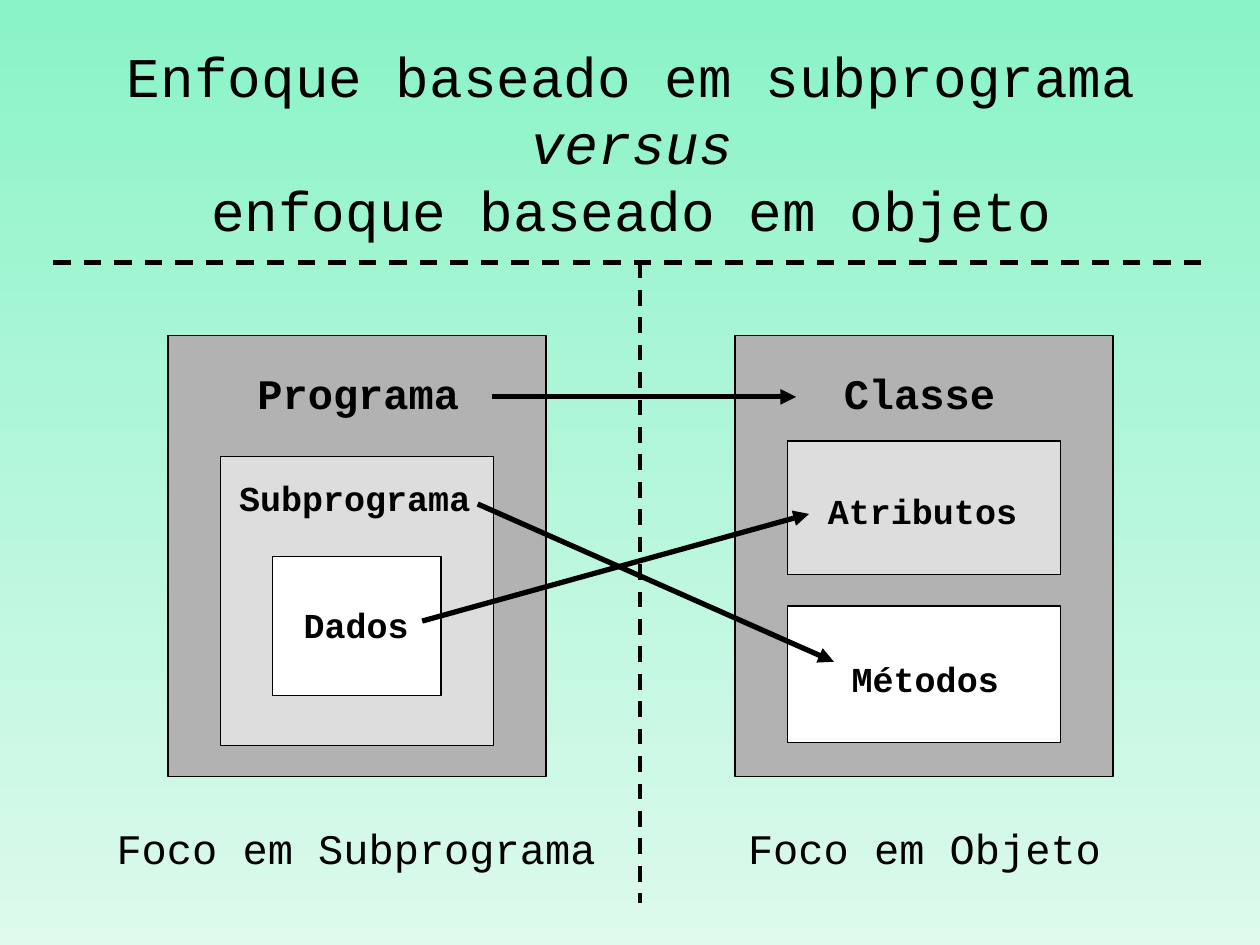
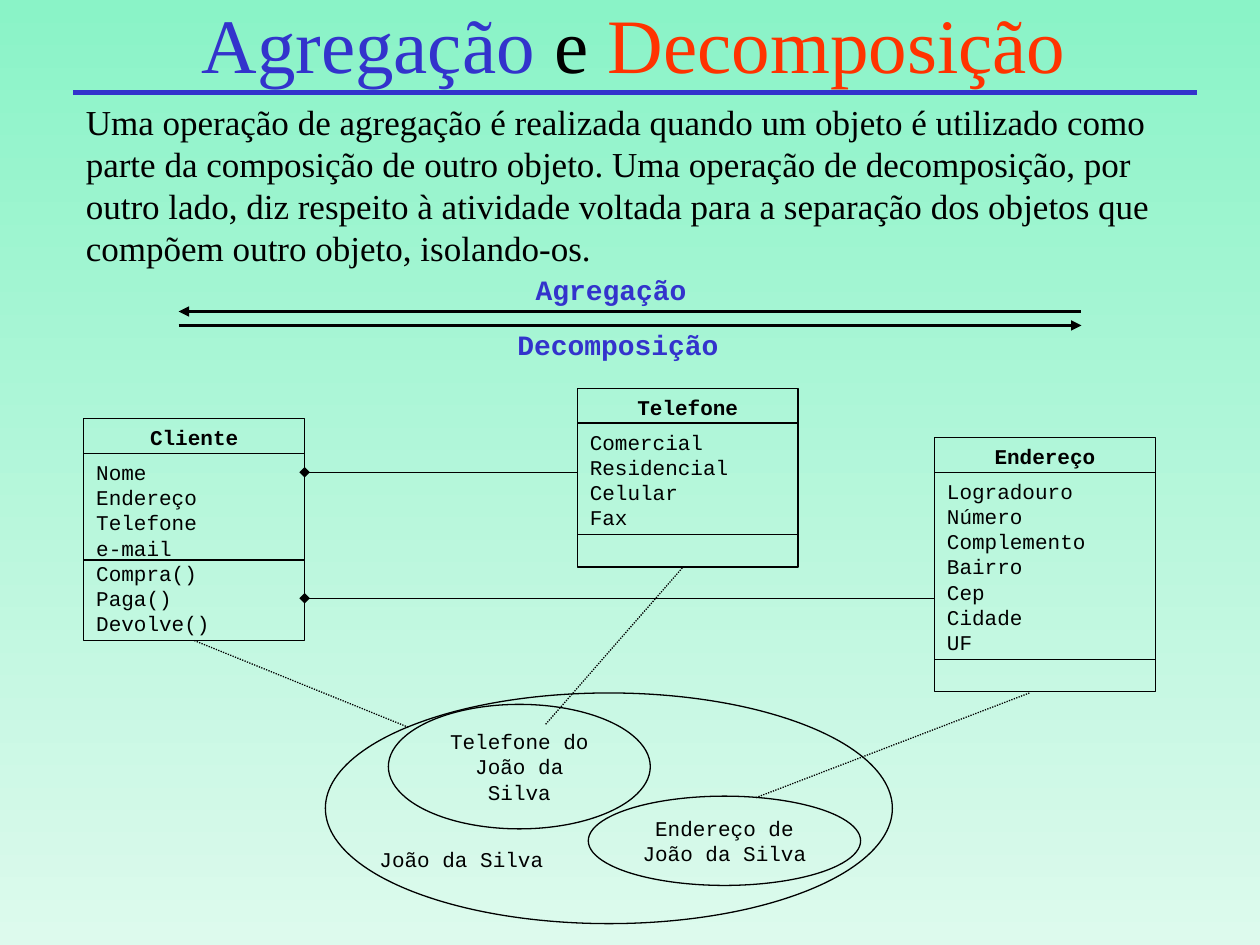
from pptx import Presentation
from pptx import util as u
from pptx.dml.color import RGBColor
from pptx.enum import dml, shapes, text
from pptx.oxml.ns import qn
from lxml import etree

COLOURS = {
    "black": "000000", "white": "FFFFFF", "grey": "B2B2B2", "light": "DDDDDD",
    "blue": "3333CC", "red": "FF3300", "sky": "8AF3C7", "mist": "DDFAED",
}
MONO, SERIF = "Courier New", "Times New Roman"

# Slide 1: positions are in centimetres
VERSUS_TITLE = ["Enfoque baseado em subprograma", "versus", "enfoque baseado em objeto"]
TITLE_AREA = (2.31, 0.71, 20.85, 4.32)
NESTED_BOXES = [  # fill, area
    ("grey", (3.39, 6.77, 7.62, 8.89)),
    ("light", (4.45, 9.21, 5.5, 5.82)),
    ("white", (5.5, 11.22, 3.39, 2.8)),
    ("grey", (14.82, 6.77, 7.62, 8.89)),
    ("light", (15.88, 8.89, 5.5, 2.7)),
    ("white", (15.88, 12.22, 5.5, 2.75)),
]
CONCEPTS = [  # wording, size, bold, area
    ("Programa", 24, True, (4.94, 7.29, 4.8, 1.27)),
    ("Subprograma", 20, True, (4.57, 9.48, 5.4, 1.12)),
    ("Dados", 20, True, (5.87, 12.04, 2.9, 1.12)),
    ("Classe", 24, True, (16.76, 7.29, 3.8, 1.27)),
    ("Atributos", 20, True, (16.44, 9.75, 4.6, 1.12)),
    ("Métodos", 20, True, (16.92, 13.13, 3.8, 1.12)),
    ("Foco em Subprograma", 24, False, (2.1, 16.46, 10.4, 1.27)),
    ("Foco em Objeto", 24, False, (14.83, 16.46, 7.9, 1.27)),
]
MAPPINGS = [
    (9.91, 8, 16.05, 8),
    (9.63, 10.16, 16.81, 13.34),
    (8.51, 12.52, 16.31, 10.36),
]
DIVIDERS = [((1.07, 5.29, 24.33, 5.29), 2.5), ((12.91, 5.29, 12.91, 18.21), 2.25)]

# Slide 2
AGGREGATION_TITLE = [("Agregação", "blue"), (" e ", "black"), ("Decomposição", "red")]
DEFINITION = (
    "Uma operação de agregação é realizada quando um objeto é utilizado como parte da "
    "composição de outro objeto. Uma operação de decomposição, por outro lado, diz "
    "respeito à atividade voltada para a separação dos objetos que compõem outro "
    "objeto, isolando-os."
)
DIRECTIONS = [  # wording, area, arrow height, arrowhead end
    ("Agregação", (10.55, 5.36, 3.9, 0.94), 6.28, "head"),
    ("Decomposição", (10.18, 6.48, 4.9, 0.94), 6.56, "tail"),
]
CLASS_WIDTH, HEADER_HEIGHT = 4.45, 0.7
CLASSES = [  # name, left, top, body height, methods height, members
    ("Cliente", 1.69, 8.44, 3.78, 1.63,
     ["Nome", "Endereço", "Telefone", "e-mail", "Compra()", "Paga()", "Devolve()"]),
    ("Endereço", 18.84, 8.82, 4.42, 0.64,
     ["Logradouro", "Número", "Complemento", "Bairro", "Cep", "Cidade", "UF"]),
    ("Telefone", 11.64, 7.83, 2.9, 0.66,
     ["Comercial", "Residencial", "Celular", "Fax"]),
]
INSTANCES = [
    ("Endereço de João da Silva", (11.86, 16.05, 5.49, 1.8)),
    ("Telefone do João da Silva", (7.83, 14.2, 5.28, 2.51)),
    ("", (6.56, 13.97, 11.43, 4.65)),
]
CLIENT_INSTANCE = ("João da Silva", (7.4, 16.94, 4.1, 0.76))
COMPOSITIONS = [(6.14, 9.52, 11.64, 9.52), (6.14, 12.06, 18.84, 12.06)]
INSTANCE_LINKS = [
    (8.23, 14.66, 3.91, 12.91),
    (11, 14.6, 13.77, 11.43),
    (15.24, 16.08, 20.75, 13.97),
]


def rgb(colour):
    return RGBColor.from_string(COLOURS[colour])


def cm(area):
    return [u.Cm(length) for length in area]


def style_font(font, size, face, colour="black", bold=False):
    font.size, font.name, font.bold = u.Pt(size), face, bold
    font.color.rgb = rgb(colour)


def write(shape, lines, size, face=MONO, colour="black", bold=False,
          centred=False, middle=False, wrap=True):
    """Fill a shape or text box with one paragraph per line."""
    frame = shape.text_frame
    frame.word_wrap = wrap
    frame.vertical_anchor = text.MSO_ANCHOR.MIDDLE if middle else text.MSO_ANCHOR.TOP
    frame.text = "\n".join(lines)
    for paragraph in frame.paragraphs:
        paragraph.alignment = text.PP_ALIGN.CENTER if centred else text.PP_ALIGN.LEFT
        style_font(paragraph.font, size, face, colour, bold)
    return frame


def add_text(slide, area, lines, size, **style):
    return write(slide.shapes.add_textbox(*cm(area)), lines, size, **style)


def add_outline(slide, area, fill=None, kind=shapes.MSO_SHAPE.RECTANGLE):
    """Add a thin black outlined shape, hollow unless a fill is named."""
    shape = slide.shapes.add_shape(kind, *cm(area))
    shape.shadow.inherit = False
    if fill:
        shape.fill.solid()
        shape.fill.fore_color.rgb = rgb(fill)
    else:
        shape.fill.background()
    shape.line.color.rgb = rgb("black")
    shape.line.width = u.Pt(0.75)
    return shape


def add_line(slide, ends, width=0.75, colour="black", dash=None, head=None, tail=None):
    connector = slide.shapes.add_connector(shapes.MSO_CONNECTOR.STRAIGHT, *cm(ends))
    line = connector.line
    line.width = u.Pt(width)
    line.color.rgb = rgb(colour)
    if dash:
        line.dash_style = dash
    properties = connector._element.spPr
    outline = properties.find(qn("a:ln"))
    for end, arrow in (("a:headEnd", head), ("a:tailEnd", tail)):
        if arrow:
            etree.SubElement(outline, qn(end), type=arrow)
    etree.SubElement(properties, qn("a:effectLst"))


def paint_background(master):
    fill = master.background.fill
    fill.gradient()
    fill.gradient_angle = 270
    for stop, colour in zip(fill.gradient_stops, ("sky", "mist")):
        stop.color.rgb = rgb(colour)


def build_versus(slide):
    for fill, area in NESTED_BOXES:
        add_outline(slide, area, fill)
    for wording, size, bold, area in CONCEPTS:
        add_text(slide, area, [wording], size, bold=bold, wrap=False)
    for ends in MAPPINGS:
        add_line(slide, ends, 3, tail="triangle")
    title = add_text(slide, TITLE_AREA, VERSUS_TITLE, 32, centred=True, wrap=False)
    title.paragraphs[1].font.italic = True
    for ends, width in DIVIDERS:
        add_line(slide, ends, width, dash=dml.MSO_LINE.DASH)


def add_class(slide, name, left, top, body_height, methods_height, members):
    header = add_outline(slide, (left, top, CLASS_WIDTH, HEADER_HEIGHT))
    write(header, [name], 12, bold=True, centred=True)
    body_top = top + HEADER_HEIGHT
    body = add_outline(slide, (left, body_top, CLASS_WIDTH, body_height))
    write(body, members, 12)
    divider = body_top + body_height - methods_height
    add_line(slide, (left, divider, left + CLASS_WIDTH, divider))


def build_aggregation(slide):
    add_line(slide, (1.48, 1.87, 24.13, 1.87), 3, "blue")
    for uml_class in CLASSES:
        add_class(slide, *uml_class)
    for wording, area in INSTANCES:
        ellipse = add_outline(slide, area, kind=shapes.MSO_SHAPE.OVAL)
        if wording:
            write(ellipse, [wording], 12, centred=True, middle=True)
    wording, area = CLIENT_INSTANCE
    add_text(slide, area, [wording], 12, wrap=False)

    title = add_text(slide, (1.98, 0.25, 21.59, 1.24), [""], 44, face=SERIF,
                     centred=True, middle=True).paragraphs[0]
    for word, colour in AGGREGATION_TITLE:
        run = title.add_run()
        run.text = word
        run.font.color.rgb = rgb(colour)
    add_text(slide, (1.48, 1.91, 22.66, 3.66), [DEFINITION], 20, face=SERIF)

    for wording, area, height, end in DIRECTIONS:
        add_text(slide, area, [wording], 16, colour="blue", bold=True, wrap=False)
        add_line(slide, (3.6, height, 21.8, height), 1.5, **{end: "triangle"})
    for ends in COMPOSITIONS:
        add_line(slide, ends, head="diamond")
    for ends in INSTANCE_LINKS:
        add_line(slide, ends, dash=dml.MSO_LINE.ROUND_DOT)


def main():
    deck = Presentation()
    deck.slide_width, deck.slide_height = u.Cm(25.4), u.Cm(19.05)
    paint_background(deck.slide_master)
    for build in (build_versus, build_aggregation):
        build(deck.slides.add_slide(deck.slide_layouts[6]))
    deck.save("out.pptx")


if __name__ == "__main__":
    main()
